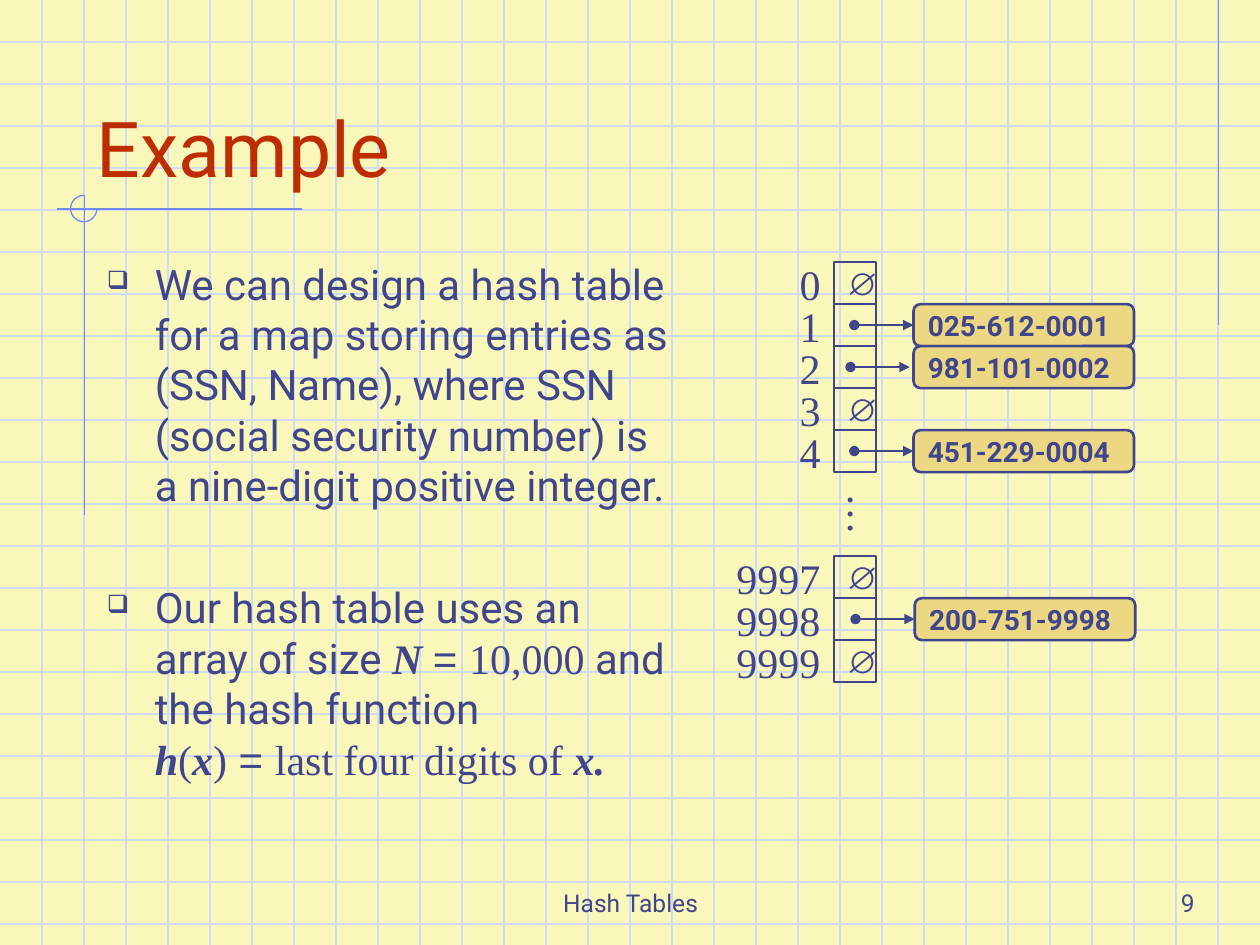
from lxml import etree
from pptx import Presentation
from pptx.dml.color import RGBColor
from pptx.enum.shapes import MSO_CONNECTOR, MSO_SHAPE
from pptx.enum.text import MSO_ANCHOR, MSO_AUTO_SIZE, PP_ALIGN
from pptx.oxml.ns import qn
from pptx.util import Inches, Pt

LINE = MSO_CONNECTOR.STRAIGHT
RECT, ROUNDED, ARC = MSO_SHAPE.RECTANGLE, MSO_SHAPE.ROUNDED_RECTANGLE, MSO_SHAPE.ARC
TOP, MIDDLE, BOTTOM = MSO_ANCHOR.TOP, MSO_ANCHOR.MIDDLE, MSO_ANCHOR.BOTTOM
LEFT, CENTER, RIGHT = PP_ALIGN.LEFT, PP_ALIGN.CENTER, PP_ALIGN.RIGHT

PAPER = RGBColor(0xF9, 0xF8, 0xBA)
GRID = RGBColor(0xCF, 0xDB, 0xFD)
ACCENT = RGBColor(0x6F, 0x89, 0xF7)
INK = RGBColor(0x40, 0x45, 0x8C)
RED = RGBColor(0xBE, 0x2D, 0x00)
GOLD = RGBColor(0xEC, 0xD8, 0x82)

SANS, SERIF, SYMBOL = "Roboto", "Times New Roman", "Arial"
WIDTH, HEIGHT = 10, 7.5
CELL = 1 / 3
EMPTY = "∅"


def add_line(s, x1, y1, x2, y2, color, weight=0.75):
    line = s.shapes.add_connector(LINE, Inches(x1), Inches(y1), Inches(x2), Inches(y2))
    line.line.color.rgb = color
    line.line.width = Pt(weight)
    etree.SubElement(line._element.spPr, qn("a:effectLst"))
    return line


def add_pointer(s, x1, x2, y):
    """Arrow that starts with a dot and ends with a triangle."""
    ln = add_line(s, x1, y, x2, y, INK, 1.5).line._get_or_add_ln()
    etree.SubElement(ln, qn("a:headEnd"), type="oval")
    etree.SubElement(ln, qn("a:tailEnd"), type="triangle")


def add_run(p, text, size, font=SANS, color=INK, bold=False, italic=False):
    r = p.add_run()
    r.text = text
    r.font.size = Pt(size)
    r.font.name = font
    r.font.color.rgb = color
    r.font.bold = bold
    r.font.italic = italic


def add_text(s, box, text, size, font=SANS, color=INK, align=LEFT, anchor=TOP, wrap=True):
    sp = s.shapes.add_textbox(*map(Inches, box))
    tf = sp.text_frame
    tf.word_wrap = wrap
    tf.vertical_anchor = anchor
    if not wrap:
        tf.auto_size = MSO_AUTO_SIZE.SHAPE_TO_FIT_TEXT
    p = tf.paragraphs[0]
    p.alignment = align
    add_run(p, text, size, font, color)
    return sp


def add_box(s, kind, x, y, w, fill=None):
    sp = s.shapes.add_shape(kind, Inches(x), Inches(y), Inches(w), Inches(CELL))
    sp.shadow.inherit = False
    if fill is None:
        sp.fill.background()
    else:
        sp.fill.solid()
        sp.fill.fore_color.rgb = fill
    sp.line.color.rgb = INK
    sp.line.width = Pt(1.5)
    tf = sp.text_frame
    tf.word_wrap = False
    tf.vertical_anchor = MIDDLE
    tf.paragraphs[0].alignment = LEFT
    return sp


def add_graph_paper(s):
    s.background.fill.solid()
    s.background.fill.fore_color.rgb = PAPER
    for i in range(1, 23):
        add_line(s, 0, i * CELL, WIDTH, i * CELL, GRID)
    for i in range(1, 30):
        add_line(s, i * CELL, 0, i * CELL, HEIGHT, GRID)


def add_ornaments(s):
    add_line(s, 9.67, 0, 9.67, 2.58, ACCENT)
    add_line(s, 2.4, 1.66, 0.45, 1.66, ACCENT)
    add_line(s, 0.67, 1.55, 0.67, 4.09, ACCENT)
    arc = s.shapes.add_shape(ARC, Inches(0.56), Inches(1.55), Inches(0.21), Inches(0.21))
    arc.adjustments[0], arc.adjustments[1] = 0, 162  # three quarters, open at top right
    arc.shadow.inherit = False
    arc.fill.background()
    arc.line.color.rgb = ACCENT
    arc.line.width = Pt(0.75)


def format_bullet(p):
    pPr = p._p.get_or_add_pPr()
    pPr.set("marL", str(Inches(0.38)))
    pPr.set("indent", str(-Inches(0.38)))
    color = etree.SubElement(pPr, qn("a:buClr"))
    etree.SubElement(color, qn("a:srgbClr"), val=str(INK))
    etree.SubElement(pPr, qn("a:buSzPct"), val="60000")
    etree.SubElement(pPr, qn("a:buChar"), char="❑")


def add_body(s, box):
    tf = s.shapes.add_textbox(*map(Inches, box)).text_frame
    tf.word_wrap = True
    p = tf.paragraphs[0]
    format_bullet(p)
    add_run(p, "We can design a hash table for a map storing entries as (SSN, Name), "
            "where SSN (social security number) is a nine-digit positive integer.", 24)

    p = tf.add_paragraph()
    format_bullet(p)
    p.space_before = Pt(41)
    add_run(p, "Our hash table uses an array of size ", 24)
    add_run(p, "N ", 24, SERIF, bold=True, italic=True)
    add_run(p, "= ", 24, SYMBOL)
    add_run(p, "10,000", 24, SERIF)
    add_run(p, " and the hash function", 24)
    p.add_line_break()
    add_run(p, "h", 24, SERIF, bold=True, italic=True)
    add_run(p, "(", 24, SERIF)
    add_run(p, "x", 24, SERIF, bold=True, italic=True)
    add_run(p, ")", 24, SERIF)
    add_run(p, " = ", 24, SYMBOL)
    add_run(p, "last four digits of ", 24, SERIF)
    add_run(p, "x.", 24, SERIF, bold=True, italic=True)


def add_buckets(s, x, top, first, keys, shifts):
    """Column of array cells; each key is an entry pointed to, or None if empty."""
    for i, key in enumerate(keys):
        y = top + i * CELL
        label = str(first + i)
        w = 0.22 + 0.17 * len(label)
        add_text(s, (x - 0.01 - w, y - 0.08, w, 0.5), label, 24, SERIF,
                 align=RIGHT, wrap=False)
        cell = add_box(s, RECT, x, y, CELL)
        if key is None:
            add_run(cell.text_frame.paragraphs[0], EMPTY, 18, SYMBOL)
            continue
        shift = shifts.get(first + i, 0)
        entry = add_box(s, ROUNDED, x + 0.63 + max(shift, 0), y, 1.75, GOLD)
        add_run(entry.text_frame.paragraphs[0], key, 16, bold=True)
        start = x + 0.16 + shift
        add_pointer(s, start, start + 0.47, y + CELL / 2)


def add_hash_table(s, x, top):
    shifts = {2: -0.03, 9998: 0.01}
    add_buckets(s, x, top, 0,
                [None, "025-612-0001", "981-101-0002", None, "451-229-0004"], shifts)
    dots = add_text(s, (x - 0.02, top + 1.75, 0.53, 0.5), "…", 24, SERIF, wrap=False)
    dots.rotation = 90
    add_buckets(s, x, top + 7 * CELL, 9997, [None, "200-751-9998", None], shifts)


def main():
    prs = Presentation()
    prs.slide_width, prs.slide_height = Inches(WIDTH), Inches(HEIGHT)
    s = prs.slides.add_slide(prs.slide_layouts[6])
    add_graph_paper(s)
    add_ornaments(s)
    add_text(s, (3.42, 6.83, 3.17, 0.5), "Hash Tables", 14, align=CENTER, anchor=BOTTOM)
    add_text(s, (7.5, 6.83, 2.08, 0.5), "9", 14, align=RIGHT, anchor=BOTTOM)
    add_text(s, (0.67, 0.33, 8.5, 1.25), "Example", 44, color=RED, anchor=BOTTOM)
    add_body(s, (0.75, 2, 4.75, 4.83))
    add_hash_table(s, 6.62, 2.08)
    prs.save("out.pptx")


if __name__ == "__main__":
    main()
